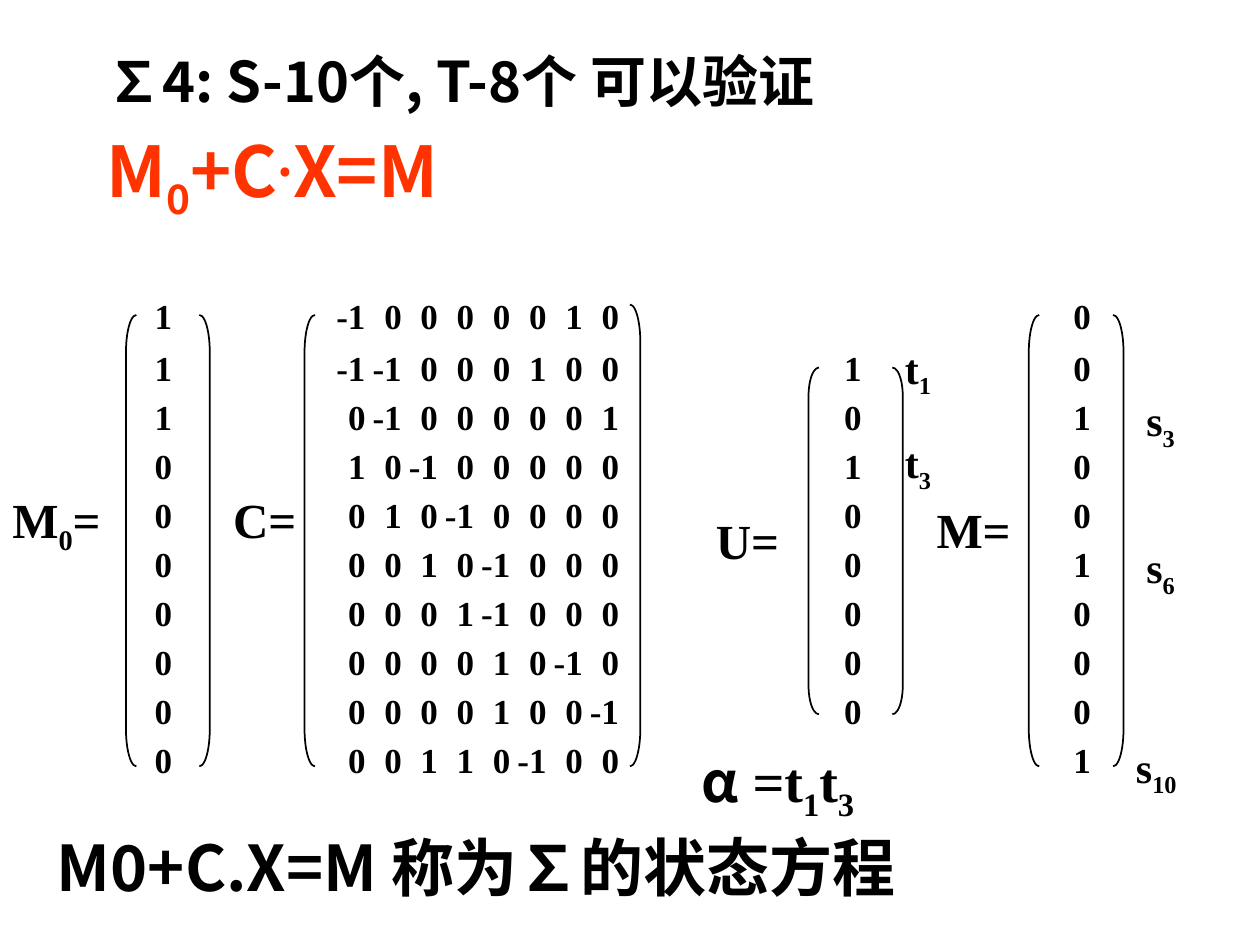
import pptx
import pptx.dml.color
import pptx.enum.shapes
import pptx.enum.text
import pptx.oxml
import pptx.oxml.ns
import pptx.util

Cm, Pt = pptx.util.Cm, pptx.util.Pt
MSO = pptx.enum.shapes.MSO_SHAPE
ANCHOR = pptx.enum.text.MSO_ANCHOR
AUTO = pptx.enum.text.MSO_AUTO_SIZE
qn = pptx.oxml.ns.qn
SANS, SERIF = "Noto Sans CJK SC", "Times New Roman"
BLACK, RED = "000000", "FF3300"
SUB, SUPER = -25000, 25000


def rgb(value):
    return pptx.dml.color.RGBColor.from_string(value)


def apply(target, values):
    for name, value in values.items():
        setattr(target, name, value)


class Slide:
    def __init__(self, prs):
        self.s = prs.slides.add_slide(prs.slide_layouts[6])

    def run(self, p, text, size, font=SERIF, color=BLACK, bold=True, base=0):
        r = p.add_run()
        r.text = text
        apply(r.font, {"name": font, "size": Pt(size), "bold": bold})
        r.font.color.rgb = rgb(color)
        rPr = r._r.get_or_add_rPr()
        if base:
            rPr.set("baseline", str(base))
        rPr.append(rPr.makeelement(qn("a:ea"), {"typeface": font}))

    def box(self, x, y, w, h, **values):
        sp = self.s.shapes.add_textbox(Cm(x), Cm(y), Cm(w), Cm(h))
        apply(sp.text_frame, {"word_wrap": True, **values})
        return sp.text_frame

    def label(self, x, y, w, h, size, *parts):
        tf = self.box(x, y, w, h, word_wrap=False, auto_size=AUTO.SHAPE_TO_FIT_TEXT)
        for text, values in parts:
            self.run(tf.paragraphs[0], text, size, **values)

    def bracket(self, kind, x, y, h):
        sp = self.s.shapes.add_shape(kind, Cm(x), Cm(y), Cm(0.21), Cm(h))
        sp.shadow.inherit = False
        sp.fill.background()
        sp.line.color.rgb = rgb(BLACK)
        sp.line.width = Pt(1)
        sp.adjustments[0] = h / 2.54

    def grid(self, x, y, w, h, rows, tabs):
        tf = self.box(x, y, w, h, margin_top=Cm(0.28))
        for i, row in enumerate(rows):
            p = tf.paragraphs[0] if i == 0 else tf.add_paragraph()
            apply(p, {"line_spacing": Pt(28), "space_after": Pt(0 if i else 2)})
            pPr = p._p.get_or_add_pPr()
            tab_list = pPr.makeelement(qn("a:tabLst"), {})
            for pos in tabs:
                values = {"pos": str(int(Cm(pos))), "algn": "r"}
                tab_list.append(tab_list.makeelement(qn("a:tab"), values))
            pPr.append(tab_list)
            self.run(p, "".join(f"\t{cell}" for cell in row), 20)


def main():
    prs = pptx.Presentation()
    apply(prs, {"slide_width": Cm(25.4), "slide_height": Cm(19.05)})
    s = Slide(prs)

    tf = s.box(1.9, 1.12, 21.59, 3.18, vertical_anchor=ANCHOR.MIDDLE)
    p = tf.paragraphs[0]
    s.run(p, "∑4: S-10个, T-8个 可以验证", 32, SANS)
    p.add_line_break()
    for text, size, base in (("M", 40, 0), ("0", 40, SUB), ("+C", 40, 0),
                             (".", 48, SUPER), ("X=M", 40, 0)):
        s.run(p, text, size, SANS, RED, base=base)

    m0 = "1 1 1 0 0 0 0 0 0 0".split()
    c = """-1 0 0 0 0 0 1 0
           -1 -1 0 0 0 1 0 0
           0 -1 0 0 0 0 0 1
           1 0 -1 0 0 0 0 0
           0 1 0 -1 0 0 0 0
           0 0 1 0 -1 0 0 0
           0 0 0 1 -1 0 0 0
           0 0 0 0 1 0 -1 0
           0 0 0 0 1 0 0 -1
           0 0 1 1 0 -1 0 0""".splitlines()
    u = ["", *"1 0 1 0 0 0 0 0".split(), ""]
    m = "0 0 1 0 0 1 0 0 0 1".split()
    rows = [[a, *line.split(), b, d] for a, line, b, d in zip(m0, c, u, m)]
    tabs = [1.75, *(5.65 + 0.73 * k for k in range(8)), 15.65, 20.27]
    s.grid(1.47, 5.51, 23.29, 12.07, rows, tabs)

    left, right = MSO.LEFT_BRACKET, MSO.RIGHT_BRACKET
    for kind, x, y, h in ((left, 2.54, 6.35, 9.1), (right, 4.02, 6.35, 9.1),
                          (left, 6.14, 6.35, 9.1), (right, 12.7, 6.14, 9.31),
                          (left, 16.3, 7.41, 6.99), (right, 17.99, 7.41, 6.99),
                          (left, 20.74, 6.35, 9.1), (right, 22.44, 6.35, 9.1)):
        s.bracket(kind, x, y, h)

    sub = {"base": SUB}
    s.label(0, 9.74, 2.33, 1.44, 28, ("M", {}), ("0", sub), ("=", {}))
    for text, x, y, w in (("C=", 4.45, 9.74, 1.78), ("U=", 14.18, 10.16, 1.78),
                          ("M=", 18.63, 9.95, 2.01)):
        s.label(x, y, w, 1.44, 28, (text, {}))
    for text, index, x, y, w in (("t", "1", 17.99, 6.77, 1.07), ("t", "3", 17.99, 8.68, 1.07),
                                 ("s", "3", 22.86, 7.83, 1.12), ("s", "6", 22.86, 10.8, 1.12),
                                 ("s", "10", 22.65, 14.82, 1.4)):
        s.label(x, y, w, 1.27, 24, (text, {}), (index, sub))
    s.label(13.89, 14.93, 3.63, 1.6, 32, ("α", {"font": SANS}), (" =t", {}),
            ("1", sub), ("t", {}), ("3", sub))

    tf = s.box(0.9, 15.88, 21.59, 3.18, vertical_anchor=ANCHOR.MIDDLE)
    s.run(tf.paragraphs[0], "M0+C.X=M 称为∑的状态方程", 36, SANS)

    prs.save("out.pptx")


if __name__ == "__main__":
    main()
